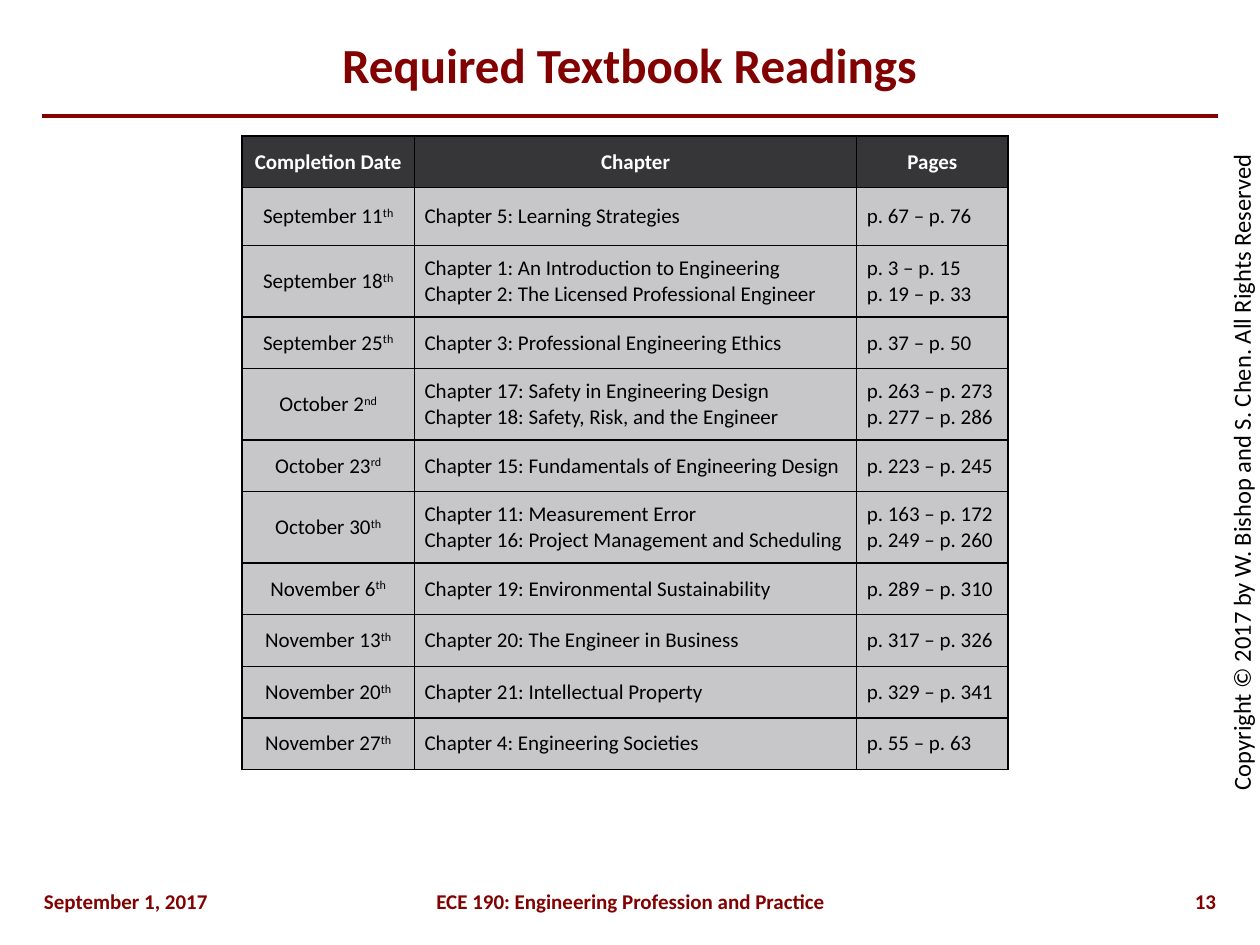
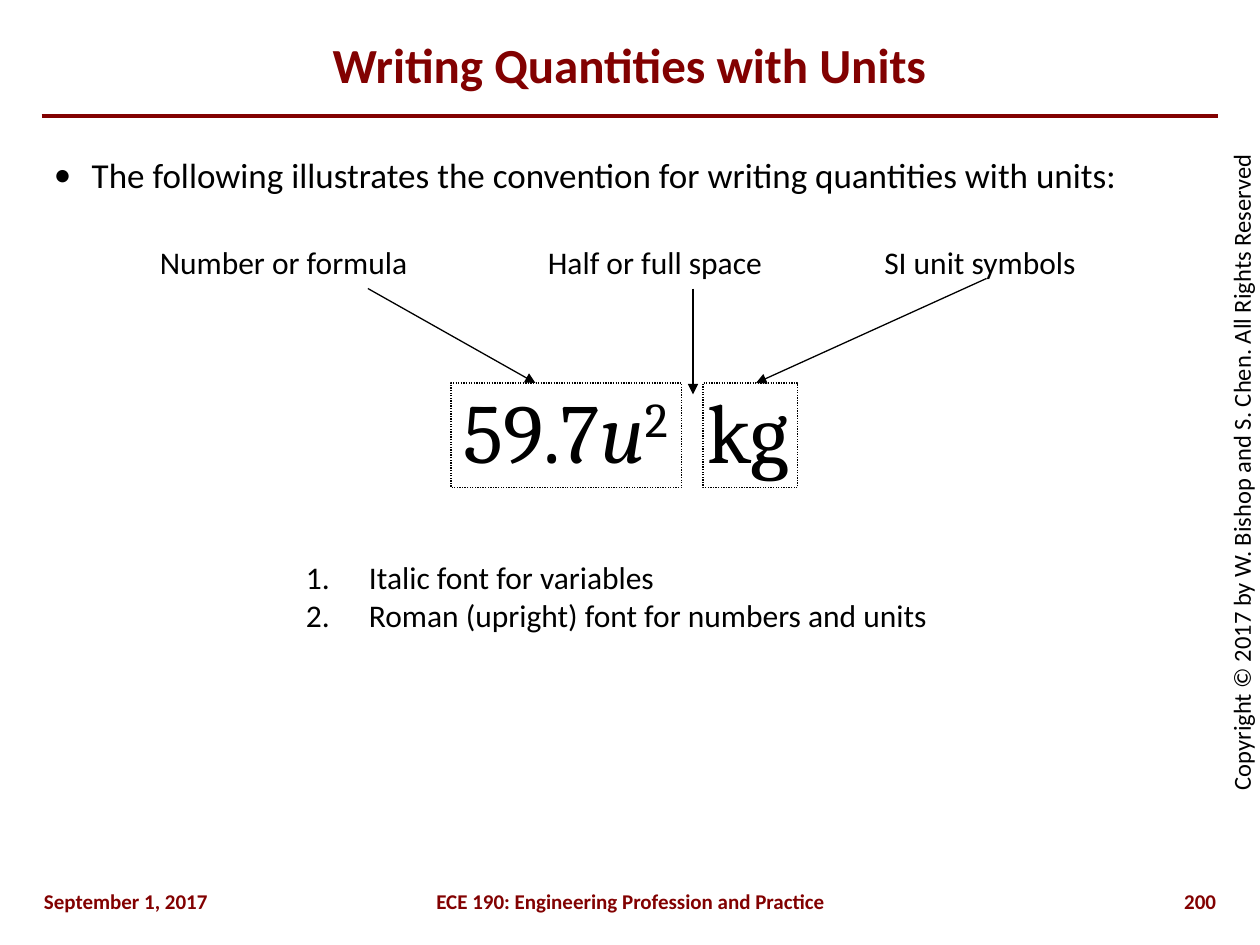
import pptx
import pptx.util
import pptx.dml.color
import pptx.enum.dml
import pptx.enum.shapes
import pptx.enum.text
import pptx.oxml
import pptx.oxml.ns
from lxml import etree

Inches = pptx.util.Inches
Pt = pptx.util.Pt
RGBColor = pptx.dml.color.RGBColor
ALIGN = pptx.enum.text.PP_ALIGN
ANCHOR = pptx.enum.text.MSO_ANCHOR
AUTO = pptx.enum.text.MSO_AUTO_SIZE
STRAIGHT = pptx.enum.shapes.MSO_CONNECTOR.STRAIGHT
qn = pptx.oxml.ns.qn

MAROON = RGBColor(0x82, 0x01, 0x01)
BLACK = RGBColor(0, 0, 0)
WHITE = RGBColor(0xFF, 0xFF, 0xFF)
HEADER_GREY = RGBColor(0x36, 0x36, 0x39)
ROW_GREY = RGBColor(0xC7, 0xC7, 0xCA)

TITLE = dict(name="Calibri", size=Pt(28), bold=True, color=MAROON)
FOOTER = dict(name="Calibri", size=Pt(12), bold=True, color=MAROON)
COPYRIGHT = dict(name="Calibri", size=Pt(14), color=BLACK)
BODY = dict(name="Calibri", size=Pt(20), color=BLACK)
LABEL = dict(name="Calibri", size=Pt(18), color=BLACK)
QUANTITY = dict(name="Cambria", size=Pt(48), color=BLACK)
HEADER = dict(name="Calibri", size=Pt(12), bold=True, color=WHITE)
CELL = dict(name="Calibri", size=Pt(12), bold=False, color=BLACK)

TITLE_BOX = (0.33, 0.17, 9.33, 0.67)
COPYRIGHT_BOX = (6.27, 3.58, 7.17, 0.34)
DATE_BOX = (0.25, 7, 1.75, 0.25)
COURSE_BOX = (1.67, 7, 6.67, 0.25)
NUMBER_BOX = (8.5, 7, 1.25, 0.25)

COLUMNS = [("Completion Date", 1.37), ("Chapter", 3.51), ("Pages", 1.2)]
READINGS = [
    ("September 11", "th", ["Chapter 5: Learning Strategies"], ["p. 67 – p. 76"]),
    ("September 18", "th",
     ["Chapter 1: An Introduction to Engineering",
      "Chapter 2: The Licensed Professional Engineer"],
     ["p. 3 – p. 15", "p. 19 – p. 33"]),
    ("September 25", "th", ["Chapter 3: Professional Engineering Ethics"],
     ["p. 37 – p. 50"]),
    ("October 2", "nd",
     ["Chapter 17: Safety in Engineering Design",
      "Chapter 18: Safety, Risk, and the Engineer"],
     ["p. 263 – p. 273", "p. 277 – p. 286"]),
    ("October 23", "rd", ["Chapter 15: Fundamentals of Engineering Design"],
     ["p. 223 – p. 245"]),
    ("October 30", "th",
     ["Chapter 11: Measurement Error",
      "Chapter 16: Project Management and Scheduling"],
     ["p. 163 – p. 172", "p. 249 – p. 260"]),
    ("November 6", "th", ["Chapter 19: Environmental Sustainability"],
     ["p. 289 – p. 310"]),
    ("November 13", "th", ["Chapter 20: The Engineer in Business"],
     ["p. 317 – p. 326"]),
    ("November 20", "th", ["Chapter 21: Intellectual Property"],
     ["p. 329 – p. 341"]),
    ("November 27", "th", ["Chapter 4: Engineering Societies"], ["p. 55 – p. 63"]),
]


def lengths(box):
    return [Inches(v) for v in box]


def add_run(p, text, fmt, **attributes):
    """Add a formatted run; attributes go on its XML properties."""
    r = p.add_run()
    r.text = text
    for key, value in fmt.items():
        if key == "color":
            r.font.color.rgb = value
        else:
            setattr(r.font, key, value)
    for key, value in attributes.items():
        r._r.get_or_add_rPr().set(key, value)


def add_bullet(p, indent, tag, font=None, **attributes):
    pPr = p._p.get_or_add_pPr()
    pPr.set("marL", str(Inches(indent)))
    pPr.set("indent", str(-Inches(indent)))
    if font:
        etree.SubElement(pPr, qn("a:buFont"), typeface=font)
    etree.SubElement(pPr, qn(tag), attributes)


def fill_lines(tf, lines, fmt, align=ALIGN.LEFT):
    """Write one paragraph for each line, the first into the existing one."""
    for i, line in enumerate(lines):
        p = tf.add_paragraph() if i else tf.paragraphs[0]
        p.alignment = align
        if line:
            add_run(p, line, fmt)


def add_text(shapes, box, lines, fmt, align=ALIGN.LEFT, wrap=True):
    """Add a text box; one that does not wrap grows with its text."""
    sp = shapes.add_textbox(*lengths(box))
    tf = sp.text_frame
    tf.word_wrap = wrap
    tf.auto_size = AUTO.NONE if wrap else AUTO.SHAPE_TO_FIT_TEXT
    fill_lines(tf, lines, fmt, align)
    return sp


def add_line(shapes, start, end, color, width, arrow=False):
    line = shapes.add_connector(STRAIGHT, *lengths(start + end))
    line.line.color.rgb = color
    line.line.width = Pt(width)
    if arrow:
        etree.SubElement(line.line._get_or_add_ln(), qn("a:tailEnd"), type="triangle")
    etree.SubElement(line._element.spPr, qn("a:effectLst"))


def add_slide(prs, title, number):
    """Start a slide with the title, rule, copyright and footer all share."""
    s = prs.slides.add_slide(prs.slide_layouts[5])
    sp = s.shapes.title
    sp.left, sp.top, sp.width, sp.height = lengths(TITLE_BOX)
    tf = sp.text_frame
    tf.auto_size = AUTO.NONE
    tf.vertical_anchor = ANCHOR.MIDDLE
    fill_lines(tf, [title], TITLE, ALIGN.CENTER)

    add_line(s.shapes, (0.33, 0.92), (9.67, 0.92), MAROON, 2.25)
    sp = add_text(s.shapes, COPYRIGHT_BOX,
                  ["Copyright © 2017 by W. Bishop and S. Chen. All Rights Reserved"],
                  COPYRIGHT, ALIGN.CENTER)
    sp.rotation = 270
    for box, text, align in [
        (DATE_BOX, "September 1, 2017", ALIGN.LEFT),
        (COURSE_BOX, "ECE 190: Engineering Profession and Practice", ALIGN.CENTER),
        (NUMBER_BOX, str(number), ALIGN.RIGHT),
    ]:
        add_text(s.shapes, box, [text], FOOTER, align)
    return s


def format_cell(cell, fill):
    cell.fill.solid()
    cell.fill.fore_color.rgb = fill
    cell.vertical_anchor = ANCHOR.MIDDLE
    for side in ("left", "right", "top", "bottom"):
        setattr(cell, "margin_" + side, Inches(0.08))
    tcPr = cell._tc.get_or_add_tcPr()
    for i, side in enumerate(("lnL", "lnR", "lnT", "lnB")):
        ln = etree.Element(qn("a:" + side), w=str(Pt(1)))
        solid = etree.SubElement(ln, qn("a:solidFill"))
        etree.SubElement(solid, qn("a:srgbClr"), val=str(BLACK))
        tcPr.insert(i, ln)


def add_readings_table(s, x, y):
    heights = [0.41, 0.46] + [0.56 if len(row[2]) > 1 else 0.41 for row in READINGS[1:]]
    width = sum(w for _, w in COLUMNS)
    frame = s.shapes.add_table(len(heights), len(COLUMNS),
                               *lengths((x, y, width, sum(heights))))
    table = frame.table
    table.horz_banding = False
    for row, height in zip(table.rows, heights):
        row.height = Inches(height)
    for c, (heading, w) in enumerate(COLUMNS):
        table.columns[c].width = Inches(w)
        cell = table.cell(0, c)
        format_cell(cell, HEADER_GREY)
        fill_lines(cell.text_frame, [heading], HEADER, ALIGN.CENTER)
    for i, (date, suffix, chapters, pages) in enumerate(READINGS, 1):
        for c, lines in enumerate(([date], chapters, pages)):
            cell = table.cell(i, c)
            format_cell(cell, ROW_GREY)
            fill_lines(cell.text_frame, lines, CELL, ALIGN.LEFT if c else ALIGN.CENTER)
        add_run(table.cell(i, 0).text_frame.paragraphs[0], suffix, CELL,
                baseline="30000")


def add_quantity(s, x, y):
    """Draw the example quantity with a dotted frame around number and unit."""
    sp = add_text(s.shapes, (x, y, 2.91, 0.91), [""], QUANTITY, wrap=False)
    p = sp.text_frame.paragraphs[0]
    add_run(p, "59.7", QUANTITY)
    add_run(p, "u", dict(QUANTITY, italic=True))
    add_run(p, "2", QUANTITY, baseline="30000")
    # Widened so that the unit starts inside its own frame
    add_run(p, " ", QUANTITY, spc="1200")
    add_run(p, "kg", QUANTITY)
    for dx, w in [(0, 1.83), (2, 0.75)]:
        frame = s.shapes.add_shape(pptx.enum.shapes.MSO_SHAPE.RECTANGLE,
                                   *lengths((x + dx, y + 0.08, w, 0.83)))
        frame.shadow.inherit = False
        frame.fill.background()
        frame.line.color.rgb = BLACK
        frame.line.width = Pt(0.75)
        frame.line.dash_style = pptx.enum.dml.MSO_LINE.ROUND_DOT


def add_callout(s, box, text, start, end):
    """Group a label with its arrow; arrow ends are offsets from the label."""
    x, y = box[:2]
    group = s.shapes.add_group_shape()
    add_text(group.shapes, box, [text], LABEL, wrap=False)
    add_line(group.shapes, (x + start[0], y + start[1]), (x + end[0], y + end[1]),
             BLACK, 0.75, arrow=True)


def add_rules(s, box):
    sp = add_text(s.shapes, box,
                  ["Italic font for variables",
                   "Roman (upright) font for numbers and units"], LABEL, wrap=False)
    for p in sp.text_frame.paragraphs:
        add_bullet(p, 0.5, "a:buAutoNum", type="arabicPeriod")


def readings_slide(prs):
    s = add_slide(prs, "Required Textbook Readings", 13)
    add_readings_table(s, 1.92, 1.08)


def units_slide(prs):
    s = add_slide(prs, "Writing Quantities with Units", 200)
    sp = add_text(
        s.shapes, (0.33, 1.17, 9.33, 5.58),
        ["The following illustrates the convention for writing quantities with units:"],
        BODY)
    add_bullet(sp.text_frame.paragraphs[0], 0.3, "a:buChar", font="Calibri", char="•")
    add_quantity(s, 3.58, 2.96)
    add_rules(s, (2.33, 4.38, 5.19, 0.71))
    for x, w, text, start, end in [
        (1.17, 2.19, "Number or formula", (1.75, 0.41), (3.08, 1.16)),
        (4.25, 1.92, "Half or full space", (1.25, 0.41), (1.25, 1.25)),
        (6.92, 1.74, "SI unit symbols", (0.91, 0.33), (-0.92, 1.16)),
    ]:
        add_callout(s, (x, 1.88, w, 0.4), text, start, end)


def main():
    prs = pptx.Presentation()
    prs.slide_width, prs.slide_height = Inches(10), Inches(7.5)
    readings_slide(prs)
    units_slide(prs)
    prs.save("out.pptx")


if __name__ == "__main__":
    main()
